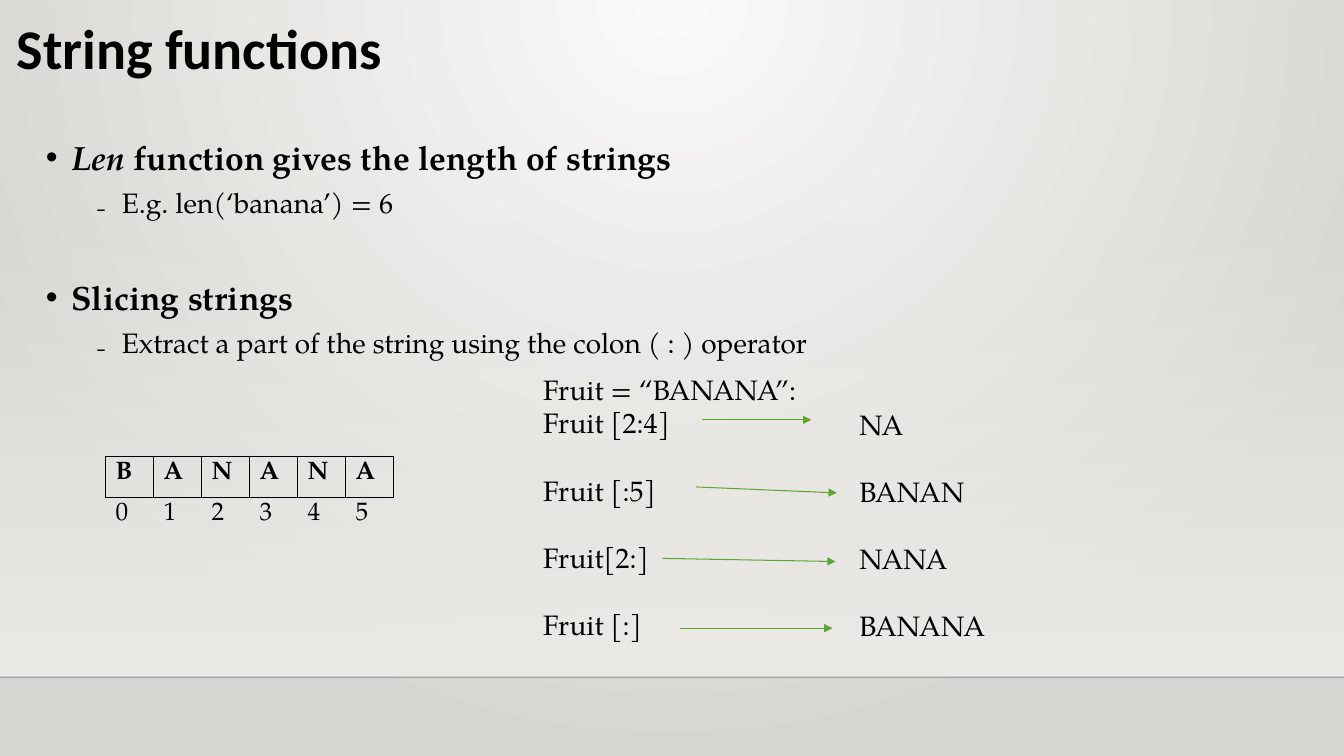
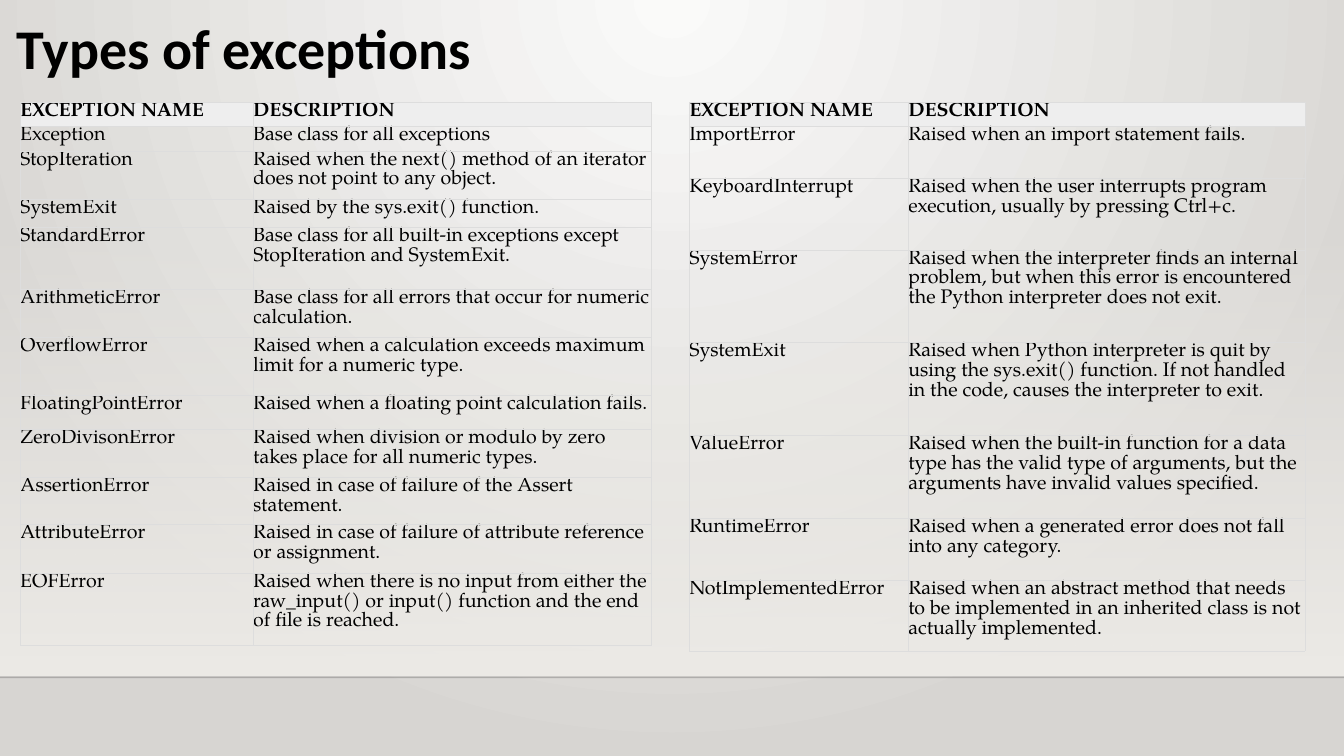
"""Builds two lesson slides on Python strings and exceptions."""
import lxml.etree
import pptx
import pptx.dml.color
import pptx.enum.shapes
import pptx.enum.text
import pptx.oxml.ns
import pptx.util

Cm = pptx.util.Cm
Pt = pptx.util.Pt
qn = pptx.oxml.ns.qn
MIDDLE = pptx.enum.text.MSO_ANCHOR.MIDDLE
TOP = pptx.enum.text.MSO_ANCHOR.TOP

COLORS = {
    "glow": "FAFAF9",
    "edge": "D7D5D2",
    "band": "EDEBE7",
    "rule": "000001",
    "text": "000000",
    "arrow": "5FA534",
    "grid": "DDDDDD",
    "header": "EEEEEE",
}
TITLE_FONT = "Calibri"
BODY_FONT = "TeX Gyre Pagella"
BULLET_FONT = "Arial"
PLAIN_TABLE_STYLE = "{2D5ABB26-0587-4C30-8999-92F81FD0307C}"
PAGE_WIDTH, PAGE_HEIGHT = 33.87, 19.05

BULLETS = [
    (0, [("Len", True), (" function gives the length of strings", False)], 0),
    (1, [("E.g. len(‘banana’) = 6", False)], 0),
    (0, [("Slicing strings", False)], 35),
    (1, [("Extract a part of the string using the colon ( : ) operator", False)], 0),
]
BULLET_STYLES = [("•", 24, 0.64), ("₋", 20, 1.91)]
SLICES = [("Fruit = “BANANA”:", 0), ("Fruit [2:4]", 0), ("Fruit [:5]", 24),
          ("Fruit[2:]", 24), ("Fruit [:]", 24)]
RESULTS = [("NA", 0), ("BANAN", 24), ("NANA", 24), ("BANANA", 24)]
ARROWS = [
    (17.7, 10.58, 20.45, 10.58),
    (17.54, 12.27, 21.09, 12.42),
    (16.69, 14.07, 21.06, 14.15),
    (17.13, 15.83, 20.98, 15.83),
]
HEADER = ("EXCEPTION NAME", "DESCRIPTION")
LEFT_EXCEPTIONS = [
    ("Exception", "Base class for all exceptions"),
    ("StopIteration", "Raised when the next() method of an iterator does not point to any object."),
    ("SystemExit", "Raised by the sys.exit() function."),
    ("StandardError", "Base class for all built-in exceptions except StopIteration and SystemExit."),
    ("ArithmeticError", "Base class for all errors that occur for numeric calculation."),
    ("OverflowError", "Raised when a calculation exceeds maximum limit for a numeric type."),
    ("FloatingPointError", "Raised when a floating point calculation fails."),
    ("ZeroDivisonError", "Raised when division or modulo by zero takes place for all numeric types."),
    ("AssertionError", "Raised in case of failure of the Assert statement."),
    ("AttributeError", "Raised in case of failure of attribute reference or assignment."),
    ("EOFError", "Raised when there is no input from either the raw_input() or input() "
                 "function and the end of file is reached."),
]
LEFT_HEIGHTS = [0.61, 0.61, 1.22, 0.71, 1.55, 1.22, 1.45, 0.86, 1.22, 1.07, 1.22, 1.83]
RIGHT_EXCEPTIONS = [
    ("ImportError", "Raised when an import statement fails."),
    ("KeyboardInterrupt", "Raised when the user interrupts program execution, "
                          "usually by pressing Ctrl+c."),
    ("SystemError", "Raised when the interpreter finds an internal problem, but when "
                    "this error is encountered the Python interpreter does not exit."),
    ("SystemExit", "Raised when Python interpreter is quit by using the sys.exit() function. "
                   "If not handled in the code, causes the interpreter to exit."),
    ("ValueError", "Raised when the built-in function for a data type has the valid type of "
                   "arguments, but the arguments have invalid values specified."),
    ("RuntimeError", "Raised when a generated error does not fall into any category."),
    ("NotImplementedError", "Raised when an abstract method that needs to be implemented in "
                            "an inherited class is not actually implemented."),
]
RIGHT_HEIGHTS = [0.5, 1.32, 1.8, 2.34, 2.34, 2.08, 1.57, 1.52]


def rgb(name):
    return pptx.dml.color.RGBColor.from_string(COLORS[name])


def add_xml(parent, tag, **attributes):
    return lxml.etree.SubElement(parent, qn(tag), attributes)


def set_gradient(fill, first, last):
    fill.gradient()
    for stop, name in zip(fill.gradient_stops, (first, last)):
        stop.color.rgb = rgb(name)


def set_alpha(element, percent):
    color = next(element.iter(qn("a:srgbClr")))
    add_xml(color, "a:alpha", val=str(percent * 1000))


def set_background(master):
    set_gradient(master.background.fill, "glow", "edge")
    linear = next(master.element.iter(qn("a:lin")))
    gradient = linear.getparent()
    gradient.remove(linear)
    circle = add_xml(gradient, "a:path", path="circle")
    add_xml(circle, "a:fillToRect", l="43000", t="0", r="43000", b="100000")


def style_font(para, size, bold=False, name=BODY_FONT):
    para.font.name = name
    para.font.size = Pt(size)
    para.font.bold = bold
    para.font.color.rgb = rgb("text")


def add_line(page, ends, color, width):
    straight = pptx.enum.shapes.MSO_CONNECTOR.STRAIGHT
    line = page.shapes.add_connector(straight, *map(Cm, ends))
    line.line.color.rgb = rgb(color)
    line.line.width = Pt(width)
    add_xml(line.element.spPr, "a:effectLst")
    return line


def add_arrow(page, ends):
    arrow = add_line(page, ends, "arrow", 0.75)
    outline = next(arrow.element.iter(qn("a:ln")))
    add_xml(outline, "a:tailEnd", type="triangle")


def add_box(page, left, top, width, height, anchor=TOP):
    box = page.shapes.add_textbox(*map(Cm, (left, top, width, height)))
    box.text_frame.word_wrap = True
    box.text_frame.vertical_anchor = anchor
    return box.text_frame


def clear_margins(holder):
    holder.margin_left = holder.margin_right = 0
    holder.margin_top = holder.margin_bottom = 0


def next_para(frame, index):
    return frame.add_paragraph() if index else frame.paragraphs[0]


def add_page(deck, title):
    page = deck.slides.add_slide(deck.slide_layouts[6])
    rectangle = pptx.enum.shapes.MSO_SHAPE.RECTANGLE
    band = page.shapes.add_shape(rectangle, 0, Cm(5.59), Cm(PAGE_WIDTH), Cm(11.43))
    band.shadow.inherit = False
    band.line.fill.background()
    set_gradient(band.fill, "band", "band")
    band.fill.gradient_angle = 270
    set_alpha(band.element, 0)
    rule = add_line(page, (0, 17.07, PAGE_WIDTH, 17.07), "rule", 1)
    set_alpha(rule.element, 20)
    para = add_box(page, 0.17, 0.23, 32.26, 2.11, MIDDLE).paragraphs[0]
    para.text = title
    para.line_spacing = 0.9
    style_font(para, 40, True, TITLE_FONT)
    return page


def set_bullet(para, mark, indent):
    properties = para._p.get_or_add_pPr()
    properties.set("marL", str(Cm(indent)))
    properties.set("indent", str(Cm(-0.64)))
    font = lxml.etree.Element(qn("a:buFont"), typeface=BULLET_FONT)
    bullet = lxml.etree.Element(qn("a:buChar"), char=mark)
    for element in (font, bullet):
        properties.find(qn("a:defRPr")).addprevious(element)


def add_bullets(page):
    frame = add_box(page, 0.91, 3.33, 32.44, 12.5)
    for index, (level, spans, space) in enumerate(BULLETS):
        mark, size, indent = BULLET_STYLES[level]
        para = next_para(frame, index)
        para.level = level
        para.space_before = Pt(space)
        para.space_after = Pt(6)
        style_font(para, size, level == 0)
        set_bullet(para, mark, indent)
        for text, italic in spans:
            span = para.add_run()
            span.text = text
            if italic:
                span.font.italic = True


def add_lines(page, left, top, lines):
    frame = add_box(page, left, top, 7.7, 7.1)
    clear_margins(frame)
    for index, (text, space) in enumerate(lines):
        para = next_para(frame, index)
        para.text = text
        para.space_before = Pt(space)
        style_font(para, 20)


def add_grid(page, left, top, widths, heights, rows):
    frame = page.shapes.add_table(len(rows), len(widths), Cm(left), Cm(top),
                                  Cm(sum(widths)), Cm(sum(heights)))
    next(frame.element.iter(qn("a:tableStyleId"))).text = PLAIN_TABLE_STYLE
    table = frame.table
    table.first_row = table.horz_banding = False
    for column, width in zip(table.columns, widths):
        column.width = Cm(width)
    for row, height, texts in zip(table.rows, heights, rows):
        row.height = Cm(height)
        for cell, text in zip(row.cells, texts):
            cell.text = text
            cell.fill.background()
    return table


def set_borders(cell, sides, color, width):
    properties = cell._tc.get_or_add_tcPr()
    for index, side in enumerate(sides):
        line = lxml.etree.Element(qn("a:ln" + side), w=str(Pt(width)))
        fill = add_xml(line, "a:solidFill")
        add_xml(fill, "a:srgbClr", val=COLORS[color])
        properties.insert(index, line)


def add_letters(page, word):
    rows = [word, [str(index) for index in range(len(word))]]
    table = add_grid(page, 2.66, 11.51, [1.21] * len(word), [1.03] * 2, rows)
    for row, sides, bold in zip(table.rows, ("LRTB", "T"), (True, False)):
        for cell in row.cells:
            style_font(cell.text_frame.paragraphs[0], 18, bold)
            set_borders(cell, sides, "text", 1)


def add_exceptions(page, left, widths, heights, entries):
    table = add_grid(page, left, 2.58, widths, heights, [HEADER] + entries)
    for index, row in enumerate(table.rows):
        for cell in row.cells:
            clear_margins(cell)
            style_font(cell.text_frame.paragraphs[0], 14, index == 0)
            if index == 0:
                cell.fill.solid()
                cell.fill.fore_color.rgb = rgb("header")
            set_borders(cell, "LRTB", "grid", 0.3)


def main():
    deck = pptx.Presentation()
    deck.slide_width, deck.slide_height = Cm(PAGE_WIDTH), Cm(PAGE_HEIGHT)
    set_background(deck.slide_master)

    page = add_page(deck, "String functions")
    add_bullets(page)
    add_letters(page, "BANANA")
    add_lines(page, 13.69, 9.38, SLICES)
    add_lines(page, 21.66, 10.26, RESULTS)
    for ends in ARROWS:
        add_arrow(page, ends)

    page = add_page(deck, "Types of exceptions")
    add_exceptions(page, 0.51, [5.87, 10.04], LEFT_HEIGHTS, LEFT_EXCEPTIONS)
    add_exceptions(page, 17.37, [5.52, 9.99], RIGHT_HEIGHTS, RIGHT_EXCEPTIONS)
    deck.save("out.pptx")


if __name__ == "__main__":
    main()
